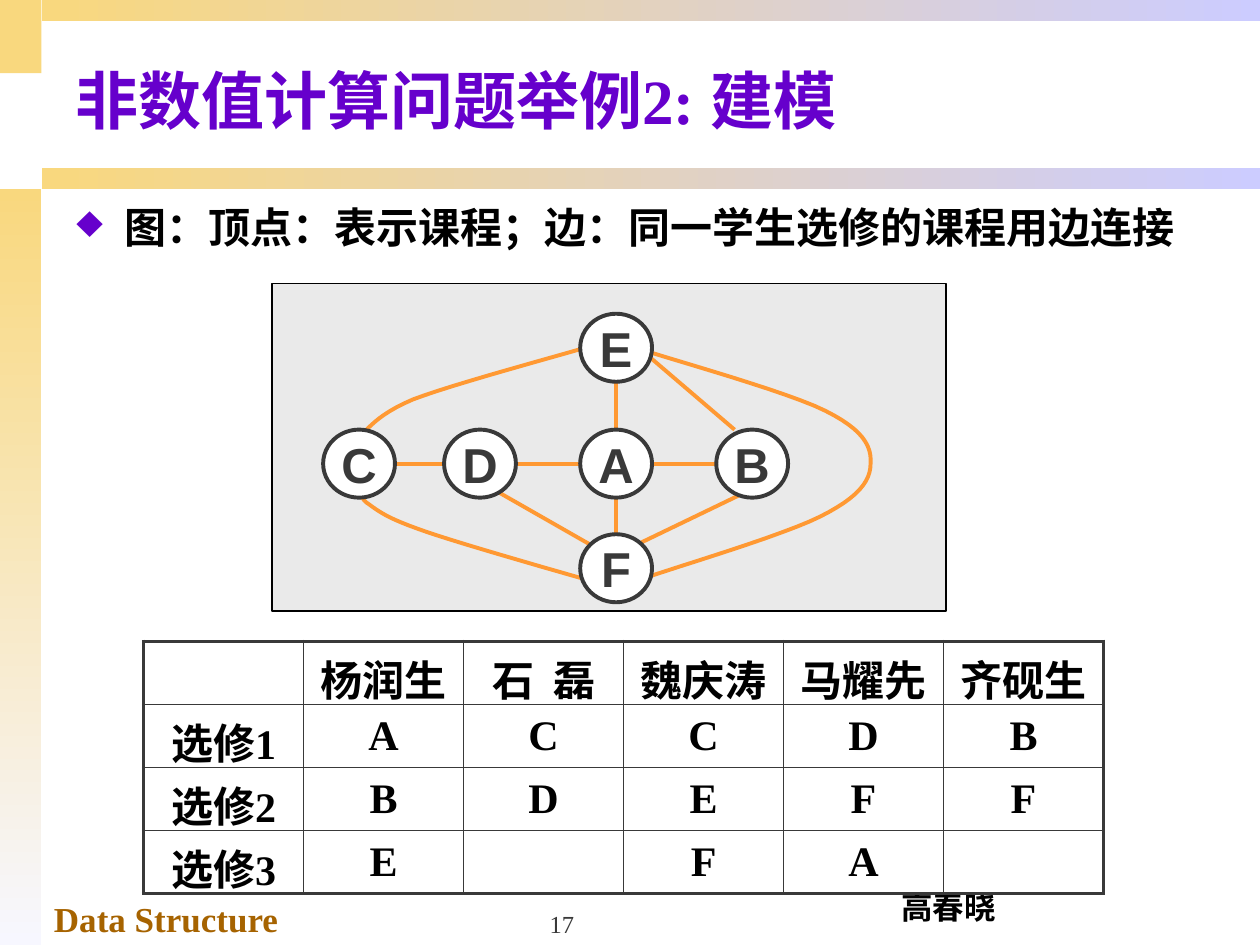
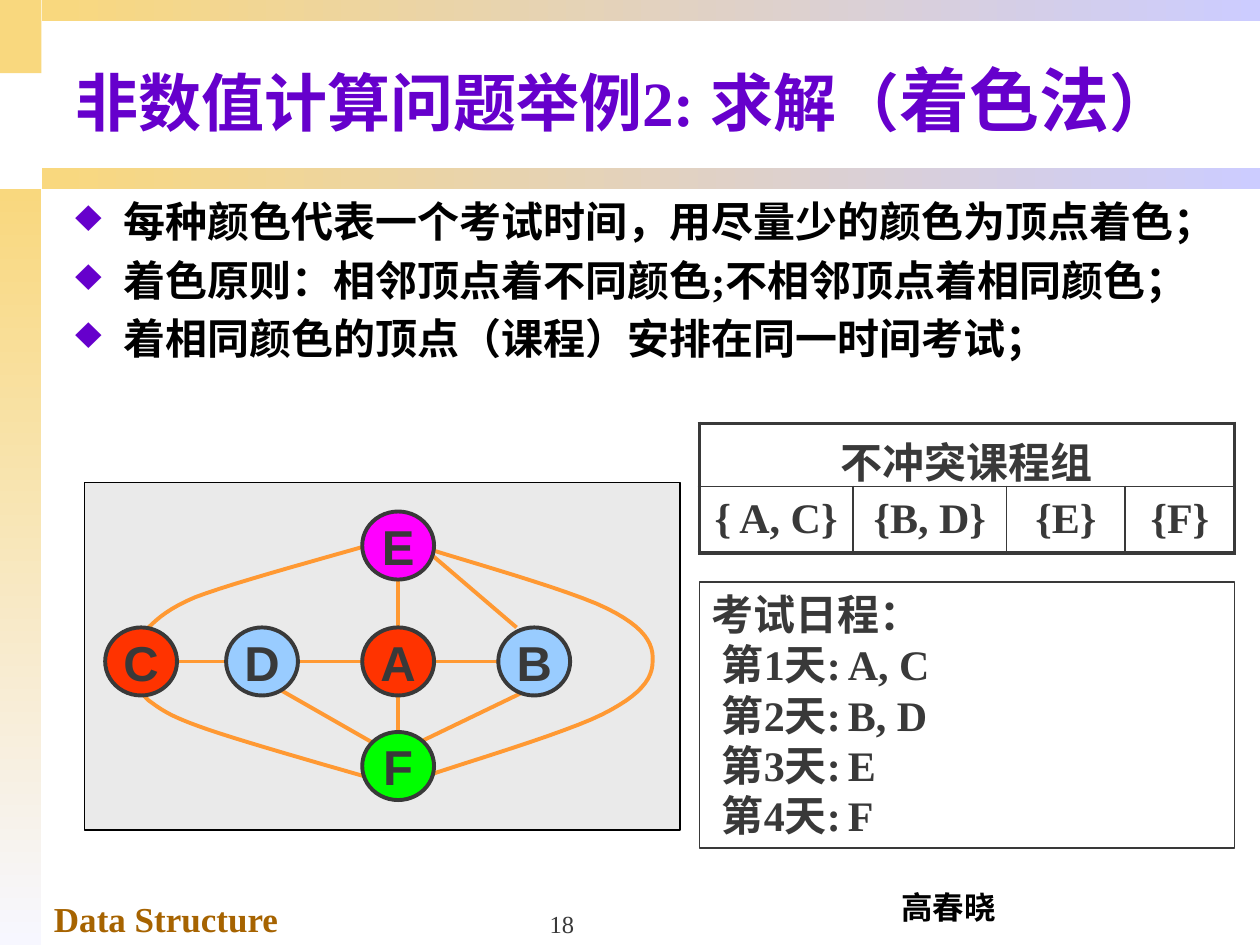
from dataclasses import dataclass

from lxml import etree
from pptx import Presentation
from pptx.dml.color import RGBColor
from pptx.enum import shapes, text
from pptx.oxml import ns
from pptx.util import Inches, Pt


@dataclass(frozen=True)
class Theme:
    gold: str = "F9D87E"
    lilac: str = "CCCCFF"
    pale: str = "F7F7FF"
    brown: str = "A66300"
    purple: str = "6600CC"
    black: str = "000000"
    white: str = "FFFFFF"
    ink: str = "393939"
    panel: str = "EAEAEA"
    edge: str = "FF9933"
    serif: str = "Times New Roman"
    sans: str = "Arial"
    cjk: str = "Noto Sans CJK SC"
    title: int = 36
    accent: int = 40
    body: int = 24
    node: int = 28
    foot: int = 20
    author: int = 18
    page: int = 14
    thin: float = 1
    bold: float = 2.25


T = Theme()
MID = text.PP_ALIGN.CENTER

# Graph positions are measured in inches from the centre of node A.
NODES = {"A": (0, 0), "B": (1.08, 0), "C": (-2.04, 0),
         "D": (-1.08, 0), "E": (0, -0.92), "F": (0, 0.83)}
LINES = [
    ((0.17, 0), (0.79, 0)), ((0, 0.23), (0, 0.56)),
    ((0, -0.75), (0, -0.27)), ((-0.83, 0), (-0.29, 0)),
    ((1.02, 0.23), (0.17, 0.64)), ((0.25, -0.86), (0.94, -0.27)),
    ((-1.12, 0.12), (-0.21, 0.64)), ((-1.98, 0), (-1.37, 0)),
]
# Each curve is a start point followed by cubic triples.
CURVES = [
    [(0.22, -0.9), (0.46, -0.82), (1.36, -0.57), (1.66, -0.42),
     (1.96, -0.27), (2.03, -0.14), (2.02, 0),
     (2.02, 0.14), (1.92, 0.27), (1.62, 0.42),
     (1.32, 0.57), (0.51, 0.81), (0.22, 0.91)],
    [(-0.21, -0.93), (-0.44, -0.86), (-1.3, -0.63), (-1.61, -0.51),
     (-1.92, -0.38), (-1.97, -0.26), (-2.06, -0.2)],
    [(-0.06, 0.97), (-0.31, 0.9), (-1.19, 0.65), (-1.51, 0.54),
     (-1.83, 0.43), (-1.88, 0.38), (-1.98, 0.31),
     (-2.07, 0.23), (-2.05, 0.15), (-2.08, 0.1)],
]
COURSES = [
    ["", "杨润生", "石  磊", "魏庆涛", "马耀先", "齐砚生"],
    ["选修1", "A", "C", "C", "D", "B"],
    ["选修2", "B", "D", "E", "F", "F"],
    ["选修3", "E", "", "F", "A", ""],
]
GROUPS = [["不冲突课程组", "", "", ""], ["{ A, C}", "{B, D}", "{E}", "{F}"]]
HUES = {"A": "FF3300", "C": "FF3300", "B": "99CCFF",
        "D": "99CCFF", "E": "FF00FF", "F": "00FF00"}
RULES = ["每种颜色代表一个考试时间，用尽量少的颜色为顶点着色；",
         "着色原则：相邻顶点着不同颜色;不相邻顶点着相同颜色；",
         "着相同颜色的顶点（课程）安排在同一时间考试；"]
DAYS = ["A, C", "B, D", "E", "F"]


def rgb(code):
    return RGBColor.from_string(code)


def inch(*sizes):
    return [Inches(size) for size in sizes]


def style(run, size, color, font=T.serif, bold=True):
    run.font.size, run.font.name, run.font.bold = Pt(size), font, bold
    run.font.color.rgb = rgb(color)


def write(frame, lines, size, color, font=T.serif, bold=True, align=None):
    frame.text = "\n".join(lines)
    for para in frame.paragraphs:
        para.alignment = align
        for run in para.runs:
            style(run, size, color, font, bold)


def label(slide, at, lines, size, color, anchor=text.MSO_ANCHOR.TOP,
          wrap=True, **look):
    frame = slide.shapes.add_textbox(*inch(*at)).text_frame
    frame.word_wrap, frame.vertical_anchor = wrap, anchor
    write(frame, lines, size, color, **look)
    return frame


def stroke(line, color, width):
    line.color.rgb, line.width = rgb(color), Pt(width)


def block(slide, at, fill, line=None, width=T.thin,
          kind=shapes.MSO_SHAPE.RECTANGLE):
    shape = slide.shapes.add_shape(kind, *inch(*at))
    shape.shadow.inherit = False
    shape.fill.solid()
    shape.fill.fore_color.rgb = rgb(fill)
    if line:
        stroke(shape.line, line, width)
    else:
        shape.line.fill.background()
    return shape


def fade(slide, at, end, angle):
    """Band that runs from gold to the end colour."""
    fill = block(slide, at, T.gold).fill
    fill.gradient()
    fill.gradient_angle = angle
    for stop, color in zip(fill.gradient_stops, (T.gold, end)):
        stop.color.rgb = rgb(color)


def frame_page(deck, number):
    """New slide with the shared bands and footers."""
    slide = deck.slides.add_slide(deck.slide_layouts[6])
    block(slide, (0, 0, 0.33, 0.58), T.gold)
    fade(slide, (0, 1.5, 0.33, 6), T.pale, 270)
    for top in (1.33, 0):
        fade(slide, (0.33, top, 9.67, 0.17), T.lilac, 0)
    label(slide, (0.33, 7.07, 3.5, 0.43), ["Data Structure"], T.foot, T.brown)
    label(slide, (7.05, 7, 0.96, 0.4), ["高春晓"], T.author, T.black,
          wrap=False, font=T.cjk, align=MID)
    label(slide, (3.42, 7, 2.08, 0.5), [str(number)], T.page, T.ink,
          text.MSO_ANCHOR.BOTTOM, bold=False, align=MID)
    return slide


def head(slide, *parts):
    """Title made of (text, size) parts."""
    frame = label(slide, (0.5, 0.25, 9.5, 1.07), [""], T.title, T.purple,
                  text.MSO_ANCHOR.MIDDLE)
    for words, size in parts:
        run = frame.paragraphs[0].add_run()
        run.text = words
        style(run, size, T.purple)


def child(parent, tag, **attrs):
    return etree.SubElement(parent, ns.qn(tag), attrs)


def points(slide, at, lines):
    """Bulleted list with purple diamonds."""
    frame = label(slide, at, lines, T.body, T.black)
    for para in frame.paragraphs:
        para.space_before = Pt(4.8)
        props = para._p.get_or_add_pPr()
        props.set("marL", str(Inches(0.38)))
        props.set("indent", str(-Inches(0.38)))
        child(child(props, "a:buClr"), "a:srgbClr", val=T.purple)
        child(props, "a:buSzPct", val="110000")
        child(props, "a:buChar", char="♦")


def bend(ctrl, steps=12):
    """Sample a chain of cubic curves."""
    dots = [ctrl[0]]
    for i in range(0, len(ctrl) - 1, 3):
        quad = ctrl[i:i + 4]
        for n in range(1, steps + 1):
            t = n / steps
            mix = ((1 - t) ** 3, 3 * t * (1 - t) ** 2,
                   3 * t * t * (1 - t), t ** 3)
            dots.append(tuple(sum(m * p[k] for m, p in zip(mix, quad))
                              for k in (0, 1)))
    return dots


def graph(slide, x, y, panel, hues):
    """Course graph with node A centred at x, y."""
    block(slide, panel, T.panel, T.black)
    for (ax, ay), (bx, by) in LINES:
        link = slide.shapes.add_connector(
            shapes.MSO_CONNECTOR.STRAIGHT,
            *inch(x + ax, y + ay, x + bx, y + by))
        stroke(link.line, T.edge, T.bold)
        child(link._element.spPr, "a:effectLst")
    for ctrl in CURVES:
        dots = [inch(x + dx, y + dy) for dx, dy in bend(ctrl)]
        pen = slide.shapes.build_freeform(*dots[0])
        pen.add_line_segments(dots[1:], close=False)
        curve = pen.convert_to_shape()
        curve.shadow.inherit = False
        curve.fill.background()
        stroke(curve.line, T.edge, T.bold)
    wide, high = 0.57, 0.54
    for name, (dx, dy) in NODES.items():
        at = (x + dx - wide / 2, y + dy - high / 2, wide, high)
        node = block(slide, at, hues.get(name, T.white), T.ink, T.bold,
                     shapes.MSO_SHAPE.OVAL)
        node.text_frame.word_wrap = False
        write(node.text_frame, [name], T.node, T.ink, T.sans, align=MID)


def border(cell, sides):
    """Draw cell edges from a map of side to width."""
    props = cell._tc.get_or_add_tcPr()
    for spot, (side, width) in enumerate(sides.items()):
        line = etree.Element(ns.qn("a:ln" + side), w=str(Pt(width)))
        child(child(line, "a:solidFill"), "a:srgbClr", val=T.ink)
        props.insert(spot, line)


def grid(slide, at, rows, cols, highs, color, merge=False):
    """Table with a heavy outer frame and thin inner lines."""
    table = slide.shapes.add_table(len(rows), len(cols), *inch(*at)).table
    table.first_row = table.horz_banding = False
    for col, size in zip(table.columns, cols):
        col.width = Inches(size)
    for row, size in zip(table.rows, highs):
        row.height = Inches(size)
    if merge:
        table.cell(0, 0).merge(table.cell(0, len(cols) - 1))
    for r, row in enumerate(rows):
        for c, words in enumerate(row):
            cell = table.cell(r, c)
            cell.fill.solid()
            cell.fill.fore_color.rgb = rgb(T.white)
            cell.vertical_anchor = text.MSO_ANCHOR.MIDDLE
            write(cell.text_frame, [words], T.body, color, align=MID)
            cell.text_frame.paragraphs[0].space_before = Pt(4.8)
            last = c == len(cols) - 1 or cell.is_merge_origin
            outer = {"L": c == 0, "R": last,
                     "T": r == 0, "B": r == len(rows) - 1}
            border(cell, {side: T.bold if out else T.thin
                          for side, out in outer.items()})


def plan(slide, at):
    """Exam timetable box."""
    frame = block(slide, at, T.white, T.ink, 0.75).text_frame
    frame.vertical_anchor = text.MSO_ANCHOR.TOP
    days = [f"第{n}天:\t{names}" for n, names in enumerate(DAYS, 1)]
    write(frame, ["考试日程："] + days, T.body, T.ink,
          align=text.PP_ALIGN.LEFT)
    for para in frame.paragraphs[1:]:
        props = para._p.get_or_add_pPr()
        props.set("marL", str(Inches(0.08)))
        props.set("indent", "0")
        child(child(props, "a:tabLst"), "a:tab", pos=str(Inches(1.51)),
              algn="l")


def main():
    deck = Presentation()
    deck.slide_width, deck.slide_height = inch(10, 7.5)

    model = frame_page(deck, 17)
    grid(model, (1.14, 5.09, 7.64, 2), COURSES, [1.27] * 6, [0.5] * 4, T.black)
    graph(model, 4.89, 3.68, (2.16, 2.25, 5.35, 2.6), {})
    head(model, ("非数值计算问题举例2: 建模", T.title))
    points(model, (0.51, 1.55, 9.5, 5.42),
           ["图：顶点：表示课程；边：同一学生选修的课程用边连接"])

    solve = frame_page(deck, 18)
    head(solve, ("非数值计算问题举例2: 求解（", T.title),
         ("着色法", T.accent), ("）", T.title))
    points(solve, (0.5, 1.5, 9.49, 5.42), RULES)
    plan(solve, (5.55, 4.62, 4.25, 2.11))
    graph(solve, 3.16, 5.25, (0.67, 3.83, 4.73, 2.76), HUES)
    grid(solve, (5.55, 3.36, 4.25, 1.03), GROUPS, [1.22, 1.22, 0.94, 0.87],
         [0.5, 0.53], T.ink, merge=True)
    deck.save("out.pptx")


if __name__ == "__main__":
    main()
